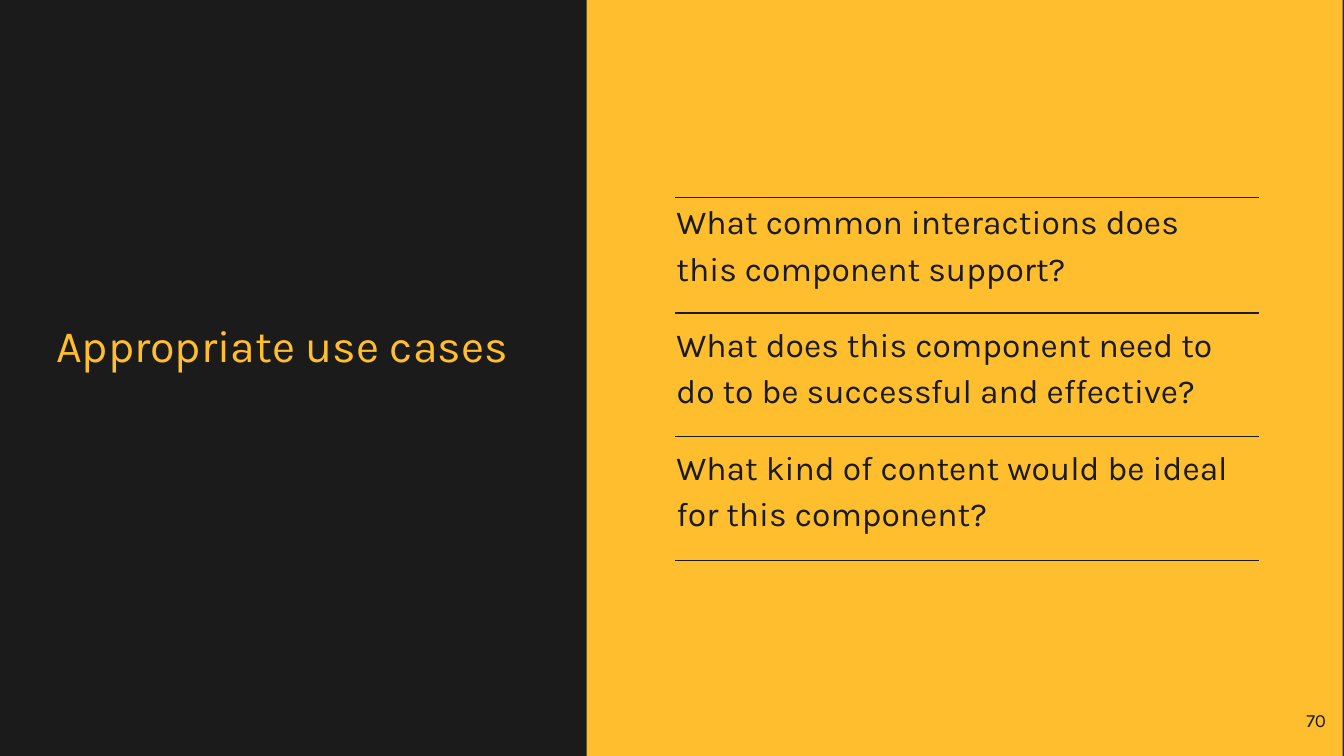
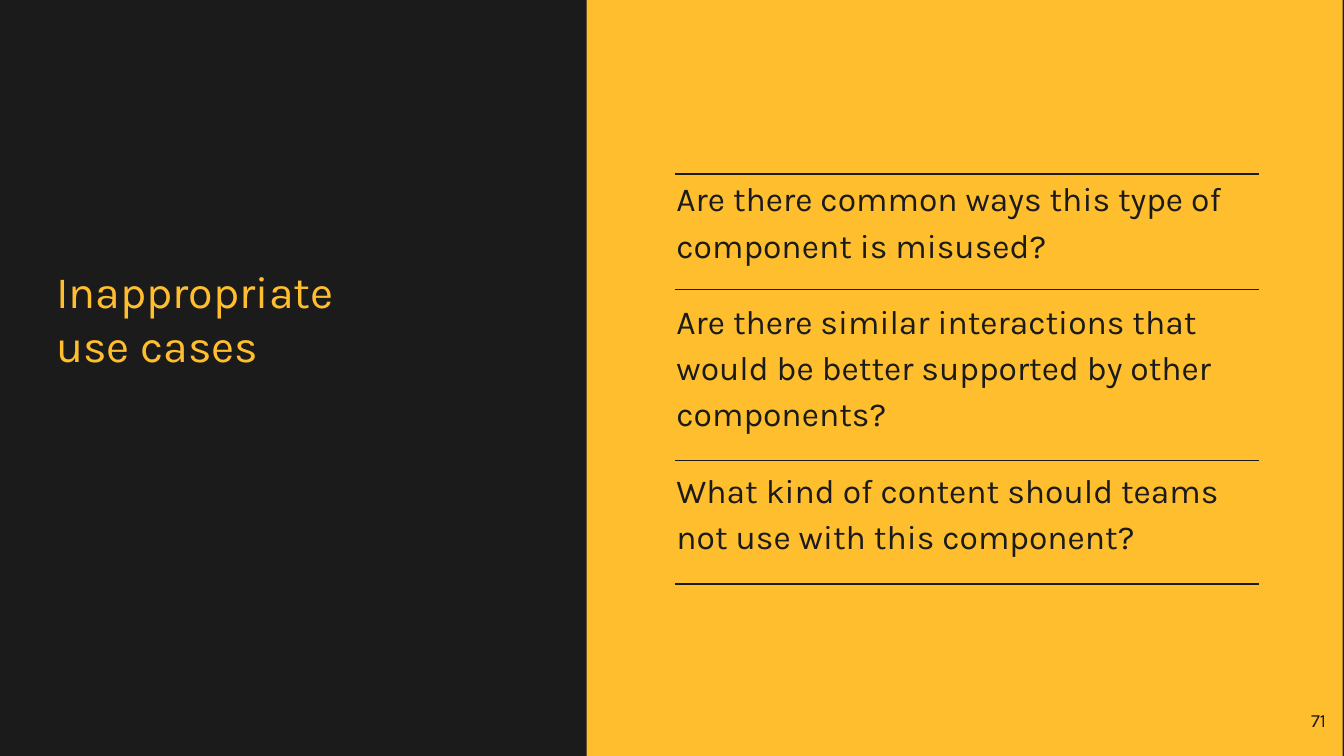
from dataclasses import dataclass
from itertools import accumulate

from pptx import Presentation
from pptx.dml.color import RGBColor
from pptx.enum.shapes import MSO_CONNECTOR as Connector, MSO_SHAPE as Shape
from pptx.enum.text import MSO_ANCHOR as Anchor, PP_ALIGN as Align
from pptx.oxml.ns import qn
from pptx.util import Inches, Pt
from lxml.etree import SubElement

CELLS_PER_INCH = 10
COLUMNS, ROWS = 100, 56.25
FONT = "Karla"
INK, AMBER = "1B1B1B", "FFBE2E"
FIRST_PAGE = 70

LINE_ROWS = 3.5
GAP_ROWS = 2.2
FIRST_GAP_ROWS = 1.6

TITLE = {"size": Pt(24), "color": AMBER, "anchor": Anchor.BOTTOM}
QUESTION = {"size": Pt(18), "color": INK, "anchor": Anchor.MIDDLE,
            "paragraph": {"line_spacing": 1.15}, "space_before": Pt(16)}
PAGE = {"size": Pt(10), "color": INK, "anchor": Anchor.TOP,
        "paragraph": {"alignment": Align.RIGHT}}

USE_CASES = [
    ("Appropriate use cases", [
        ("What common interactions does this component support?", 2),
        ("What does this component need to do to be successful and effective?", 2),
        ("What kind of content would be ideal for this component?", 2),
    ]),
    ("Inappropriate \vuse cases", [
        ("Are there common ways this type of component is misused?", 2),
        ("Are there similar interactions that would be better supported by other components?", 3),
        ("What kind of content should teams not use with this component?", 2),
    ]),
]


@dataclass
class Box:
    """A region in grid columns and rows."""
    left: float
    top: float
    width: float
    height: float

    def inner(self, left, top, width, height):
        """Return a region placed from this one's top left corner."""
        return Box(self.left + left, self.top + top, width, height)

    def lengths(self):
        """Return left, top, width and height as slide lengths."""
        return [grid(n) for n in (self.left, self.top, self.width, self.height)]


def grid(count):
    """Turn grid cells into a slide length."""
    return Inches(count / CELLS_PER_INCH)


def rgb(color):
    """Turn a hex string into a colour."""
    return RGBColor.from_string(color)


def assign(target, values):
    """Set each attribute of the target from a dict."""
    for name, value in values.items():
        setattr(target, name, value)


def add_text(slide, box, texts, style):
    """Add a text box with one paragraph per text."""
    frame = slide.shapes.add_textbox(*box.lengths()).text_frame
    assign(frame, {"word_wrap": True, "vertical_anchor": style["anchor"]})
    margins = ("margin_left", "margin_top", "margin_right", "margin_bottom")
    assign(frame, dict.fromkeys(margins, Inches(0.1)))
    for index, text in enumerate(texts):
        paragraph = frame.add_paragraph() if index else frame.paragraphs[0]
        paragraph.text = text
        assign(paragraph, style.get("paragraph", {}))
        if index and "space_before" in style:
            paragraph.space_before = style["space_before"]
        assign(paragraph.font, {"name": FONT, "size": style["size"]})
        paragraph.font.color.rgb = rgb(style["color"])


def add_rule(slide, left, right, row):
    """Draw a thin horizontal rule between two columns."""
    rule = slide.shapes.add_connector(
        Connector.STRAIGHT, grid(left), grid(row), grid(right), grid(row))
    rule.line.width = Pt(0.75)
    rule.line.color.rgb = rgb(INK)
    SubElement(rule._element.spPr, qn("a:effectLst"))


def add_band(slide, box):
    """Fill the question panel with amber."""
    band = slide.shapes.add_shape(Shape.RECTANGLE, *box.lengths())
    band.shadow.inherit = False
    band.fill.solid()
    band.fill.fore_color.rgb = rgb(AMBER)
    band.line.fill.background()


def add_title_panel(slide, box, title):
    """Place the slide title in the dark panel."""
    add_text(slide, box.inner(3.2, 7.4, 39.3, 21.2), [title], TITLE)


def add_question_panel(slide, box, questions, page):
    """Place the ruled questions and the page number on the amber panel."""
    add_band(slide, box)
    body = box.inner(5.7, 3.4, 44.3, 47.4)
    add_text(slide, body, [text for text, _ in questions], QUESTION)
    heights = [lines * LINE_ROWS + (GAP_ROWS if index else FIRST_GAP_ROWS)
               for index, (_, lines) in enumerate(questions)]
    first_rule = box.top + (box.height - sum(heights)) / 2
    for row in accumulate(heights, initial=first_rule):
        add_rule(slide, body.left + 0.9, body.left + body.width, row)
    add_text(slide, box.inner(50, 51.9, 6, 4.3), [str(page)], PAGE)


def add_use_case_slide(deck, title, questions, page):
    """Build one split slide with a title and its questions."""
    slide = deck.slides.add_slide(deck.slide_layouts[6])
    slide.background.fill.solid()
    slide.background.fill.fore_color.rgb = rgb(INK)
    add_question_panel(slide, Box(43.65, 0, 56.25, 56.4), questions, page)
    add_title_panel(slide, Box(0, 0, 43.65, ROWS), title)


def main():
    """Build and save the deck."""
    deck = Presentation()
    assign(deck, {"slide_width": grid(COLUMNS), "slide_height": grid(ROWS)})
    for page, (title, questions) in enumerate(USE_CASES, FIRST_PAGE):
        add_use_case_slide(deck, title, questions, page)
    deck.save("out.pptx")


if __name__ == "__main__":
    main()
